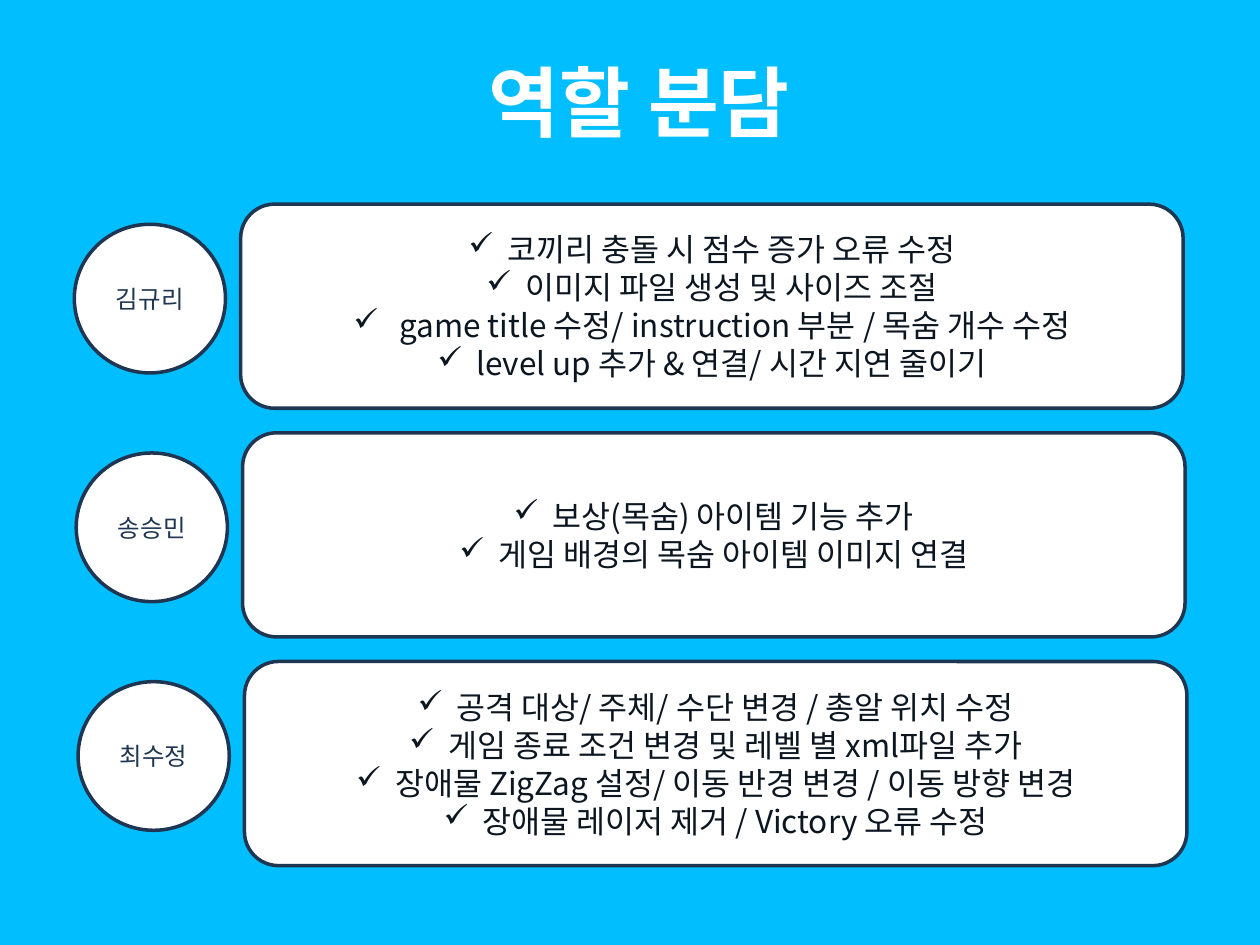
from dataclasses import dataclass

from lxml.etree import SubElement
from pptx import Presentation
from pptx.dml.color import RGBColor
from pptx.enum.shapes import MSO_SHAPE as Preset
from pptx.enum.text import MSO_ANCHOR as Anchor, MSO_AUTO_SIZE as AutoSize, PP_ALIGN as Align
from pptx.oxml.ns import qn
from pptx.util import Inches, Pt

FONT = "Noto Sans CJK KR"
COLORS = {"sky": "00BEFF", "white": "FFFFFF", "navy": "1E3652", "ink": "0C1621"}
TITLE_FORMAT = {"size": Pt(44), "bold": True, "name": FONT}
NAME_FORMAT = {"size": Pt(14), "name": FONT}
TASK_FORMAT = {"size": Pt(18), "name": FONT}

FIRST_LEFT, FIRST_TOP = 0.59, 1.62
STEP_X, STEP_Y = 0.015, 1.815
CIRCLE_WIDTH, CIRCLE_HEIGHT, CIRCLE_DROP = 1.2, 1.18, 0.16
CARD_OFFSET, CARD_WIDTH, CARD_HEIGHT = 1.32, 7.48, 1.62
BULLET_INDENT = Inches(0.31)


@dataclass
class Member:
    name: str
    tasks: list[str]


MEMBERS = [
    Member("김규리", [
        "코끼리 충돌 시 점수 증가 오류 수정",
        "이미지 파일 생성 및 사이즈 조절",
        " game title 수정/ instruction 부분 / 목숨 개수 수정",
        "level up 추가 & 연결/ 시간 지연 줄이기",
    ]),
    Member("송승민", [
        "보상(목숨) 아이템 기능 추가",
        "게임 배경의 목숨 아이템 이미지 연결",
    ]),
    Member("최수정", [
        "공격 대상/ 주체/ 수단 변경 / 총알 위치 수정",
        "게임 종료 조건 변경 및 레벨 별 xml파일 추가",
        "장애물 ZigZag 설정/ 이동 반경 변경 / 이동 방향 변경",
        "장애물 레이저 제거 / Victory 오류 수정",
    ]),
]


def color(key: str) -> RGBColor:
    return RGBColor.from_string(COLORS[key])


def write(paragraph, text: str, text_format: dict, color_key: str) -> None:
    paragraph.alignment = Align.CENTER
    run = paragraph.add_run()
    run.text = text
    for attribute, value in text_format.items():
        setattr(run.font, attribute, value)
    run.font.color.rgb = color(color_key)
    SubElement(run.font._element, qn("a:ea"), typeface=FONT)


def add_check_bullet(paragraph) -> None:
    properties = paragraph._p.get_or_add_pPr()
    properties.set("marL", str(BULLET_INDENT))
    properties.set("indent", str(-BULLET_INDENT))
    SubElement(properties, qn("a:buChar"), char="✓")


def add_panel(slide, preset, left: float, top: float, width: float, height: float):
    """Add a white, navy-edged shape and return its text frame."""
    panel = slide.shapes.add_shape(
        preset, Inches(left), Inches(top), Inches(width), Inches(height))
    panel.shadow.inherit = False
    panel.fill.solid()
    panel.fill.fore_color.rgb = color("white")
    panel.line.color.rgb = color("navy")
    panel.line.width = Pt(2)
    frame = panel.text_frame
    frame.word_wrap = True
    frame.vertical_anchor = Anchor.MIDDLE
    return frame


def add_member(slide, member: Member, left: float, top: float) -> None:
    badge = add_panel(slide, Preset.OVAL, left, top + CIRCLE_DROP,
                      CIRCLE_WIDTH, CIRCLE_HEIGHT)
    write(badge.paragraphs[0], member.name, NAME_FORMAT, "navy")

    card = add_panel(slide, Preset.ROUNDED_RECTANGLE, left + CARD_OFFSET, top,
                     CARD_WIDTH, CARD_HEIGHT)
    for index, task in enumerate(member.tasks):
        paragraph = card.add_paragraph() if index else card.paragraphs[0]
        paragraph.line_spacing = Pt(21.7)
        add_check_bullet(paragraph)
        write(paragraph, task, TASK_FORMAT, "ink")


def add_title(slide, text: str) -> None:
    title = slide.shapes.title
    title.left, title.top = Inches(2.42), Inches(0.36)
    title.width, title.height = Inches(5.31), Inches(0.88)
    frame = title.text_frame
    frame.auto_size = AutoSize.NONE
    frame.word_wrap = False
    frame.vertical_anchor = Anchor.MIDDLE
    write(frame.paragraphs[0], text, TITLE_FORMAT, "white")


def main() -> None:
    deck = Presentation()
    deck.slide_width, deck.slide_height = Inches(10), Inches(7.5)
    slide = deck.slides.add_slide(deck.slide_layouts.get_by_name("Title Only"))
    slide.background.fill.solid()
    slide.background.fill.fore_color.rgb = color("sky")
    add_title(slide, "역할 분담")
    for row, member in enumerate(MEMBERS):
        add_member(slide, member, FIRST_LEFT + row * STEP_X, FIRST_TOP + row * STEP_Y)
    deck.save("out.pptx")


if __name__ == "__main__":
    main()
